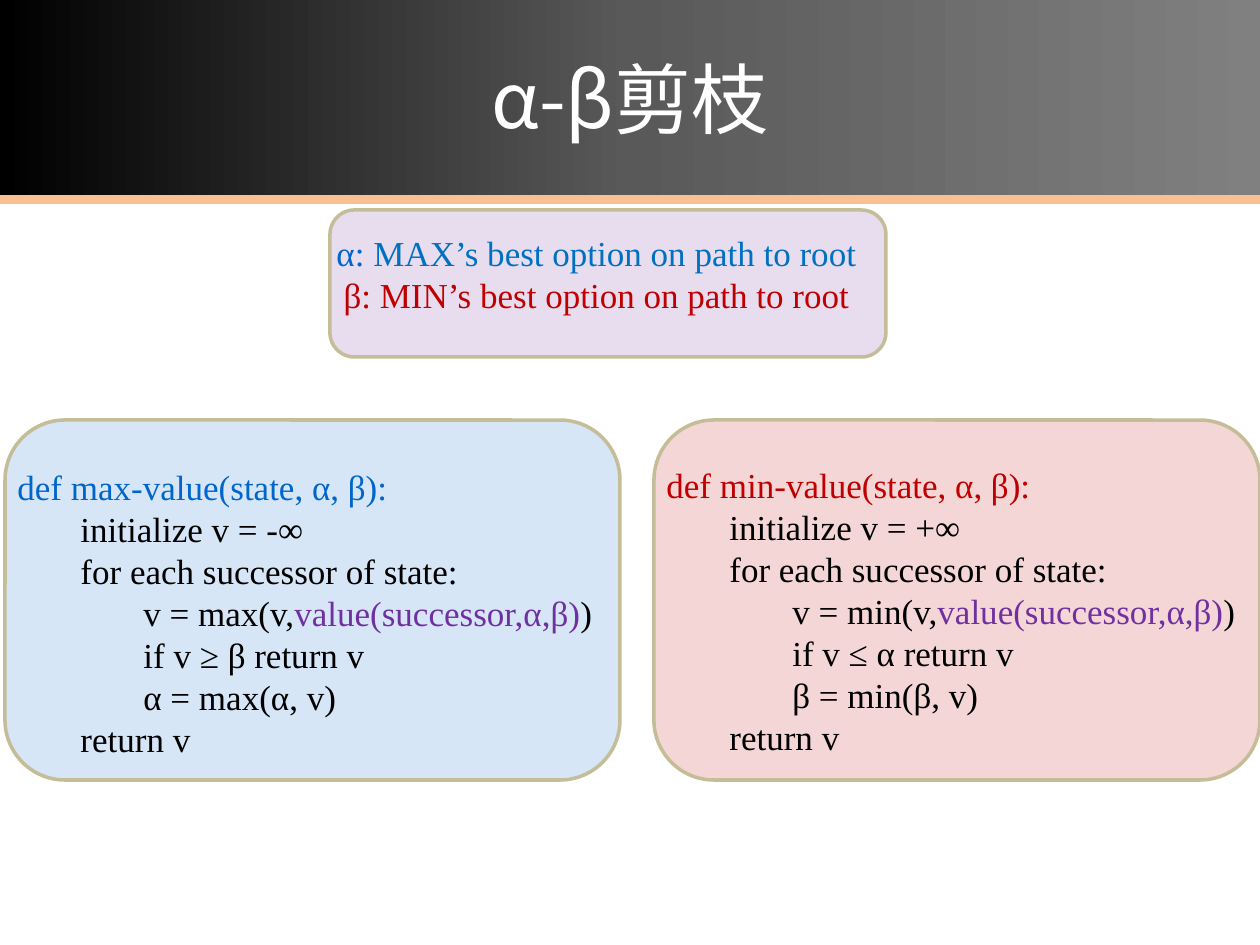
from lxml import etree
from copy import deepcopy
from pptx import Presentation
from pptx.dml.color import RGBColor
from pptx.enum.shapes import MSO_SHAPE as SHAPE
from pptx.enum.text import MSO_ANCHOR as ANCHOR, PP_ALIGN as ALIGN
from pptx.oxml.ns import qn
from pptx.util import Pt

PX = 914400 // 126  # EMU in one px
INDENT = 63  # px per code level

BLACK = RGBColor(0x00, 0x00, 0x00)
DARK = RGBColor(0x59, 0x59, 0x59)
GRAY = RGBColor(0x80, 0x80, 0x80)
WHITE = RGBColor(0xFF, 0xFF, 0xFF)
ORANGE = RGBColor(0xFA, 0xC0, 0x90)
TAN = RGBColor(0xC4, 0xBD, 0x97)
BLUE = RGBColor(0x00, 0x66, 0xCC)
SKY = RGBColor(0x00, 0x70, 0xC0)
RED = RGBColor(0xC0, 0x00, 0x00)
PURPLE = RGBColor(0x70, 0x30, 0xA0)


def add_panel(left, top, width, height, color):
    """Rounded panel with a 16 % tint of the colour."""
    panel = page.shapes.add_shape(
        SHAPE.ROUNDED_RECTANGLE, left * PX, top * PX, width * PX, height * PX)
    panel.shadow.inherit = False
    panel.fill.solid()
    panel.fill.fore_color.rgb = color
    tint = panel.fill._xPr.find(qn("a:solidFill"))[0]
    etree.SubElement(tint, qn("a:alpha")).set("val", "16000")
    panel.line.color.rgb = TAN
    panel.line.width = Pt(2)


def add_lines(left, top, width, height, lines, align):
    """Text box with one paragraph per (level, spans) line."""
    box = page.shapes.add_textbox(left * PX, top * PX, width * PX, height * PX)
    frame = box.text_frame
    frame.word_wrap = True
    for index, (level, spans) in enumerate(lines):
        para = frame.paragraphs[0] if index == 0 else frame.add_paragraph()
        para._p.get_or_add_pPr().set("marL", str(level * INDENT * PX))
        para.alignment = align
        para.line_spacing = 0.8
        if index:
            para.space_before = Pt(4.8)
        for text, color in spans:
            span = para.add_run()
            span.text = text
            for name, value in {"name": "Times New Roman", "size": Pt(20)}.items():
                setattr(span.font, name, value)
            span.font.color.rgb = color


deck = Presentation()
deck.slide_width, deck.slide_height = 1260 * PX, 945 * PX
page = deck.slides.add_slide(deck.slide_layouts[5])

# Title band with a three-stop gradient
title = page.shapes.title
for name, value in {"left": 0, "top": 0, "width": 1260, "height": 195}.items():
    setattr(title, name, value * PX)
title.fill.gradient()
title.fill.gradient_angle = 0
stop_list = title.fill._xPr.find(qn("a:gradFill")).find(qn("a:gsLst"))
stop_list.insert(1, deepcopy(stop_list[0]))
for stop, position, color in zip(
        title.fill.gradient_stops, (0, 0.5, 1), (BLACK, DARK, GRAY)):
    stop.position = position
    stop.color.rgb = color
title.text_frame.vertical_anchor = ANCHOR.MIDDLE
para = title.text_frame.paragraphs[0]
para.alignment = ALIGN.CENTER
span = para.add_run()
span.text = "α-β剪枝"
for name, value in {"name": "Noto Sans CJK SC", "size": Pt(44)}.items():
    setattr(span.font, name, value)
span.font.color.rgb = WHITE
east_asian = etree.SubElement(span._r.get_or_add_rPr(), qn("a:ea"))
east_asian.set("typeface", "Noto Sans CJK SC")

# Stripe under the title
stripe = page.shapes.add_shape(SHAPE.RECTANGLE, 0, 195 * PX, 1260 * PX, 9 * PX)
stripe.shadow.inherit = False
stripe.fill.solid()
stripe.fill.fore_color.rgb = ORANGE
stripe.line.fill.background()

# Meaning of alpha and beta
add_panel(330, 210, 556, 147, PURPLE)
add_lines(266, 233, 661, 102, [
    (0, [("α: ", BLUE), ("MAX’s best option on path to root", SKY)]),
    (0, [("β: MIN’s best option on path to root", RED)]),
], ALIGN.CENTER)

# The two value functions: panel left and width, text top, and what differs
functions = [
    (5, 615, 467, BLUE, "max", "-∞", "≥ β", "α"),
    (654, 606, 465, RED, "min", "+∞", "≤ α", "β"),
]
for left, width, top, color, name, start, test, bound in functions:
    add_panel(left, 420, width, 360, color)
    add_lines(left, top, width, 300, [
        (0, [(f"def {name}-value(state, α, β):", color)]),
        (1, [(f"initialize v = {start}", BLACK)]),
        (1, [("for each successor of state:", BLACK)]),
        (2, [(f"v = {name}(v,", BLACK), ("value(successor,α,β)", PURPLE),
             (")", BLACK)]),
        (2, [(f"if v {test} return v", BLACK)]),
        (2, [(f"{bound} = {name}({bound}, v)", BLACK)]),
        (1, [("return v", BLACK)]),
    ], ALIGN.LEFT)

deck.save("out.pptx")
